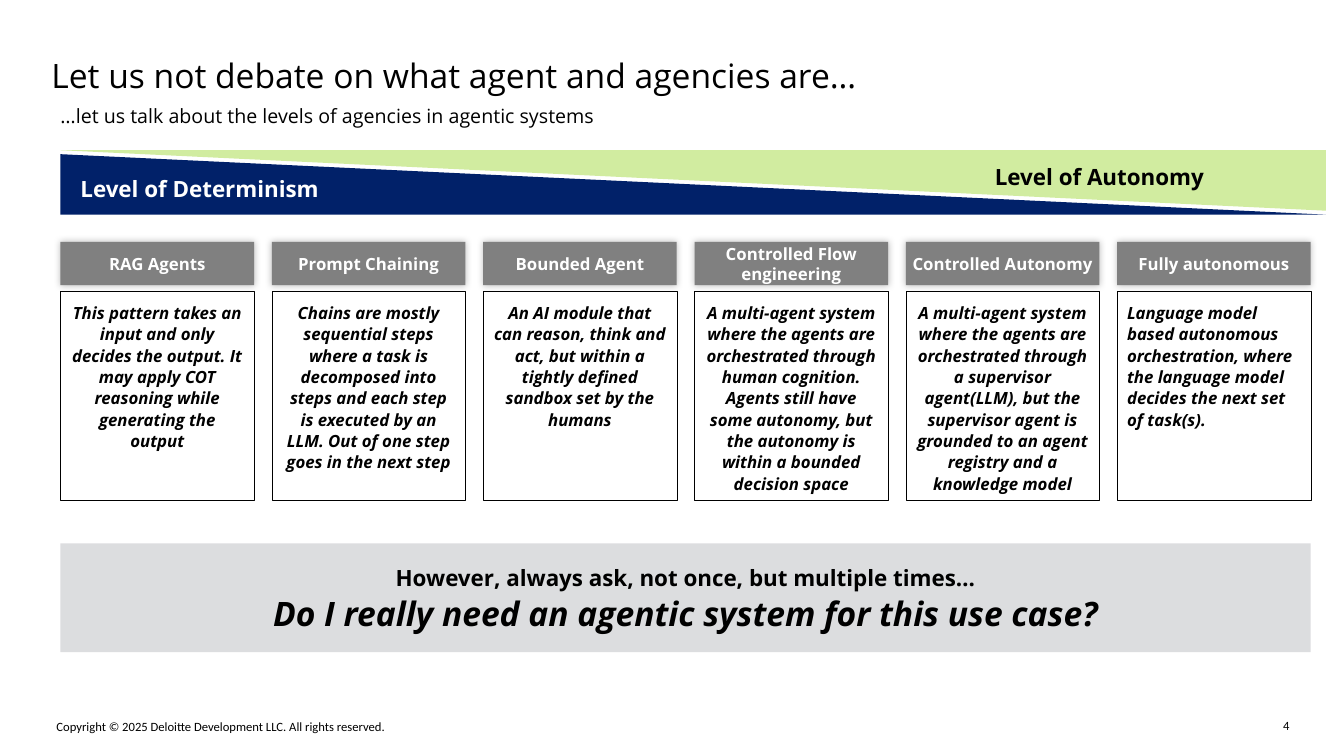
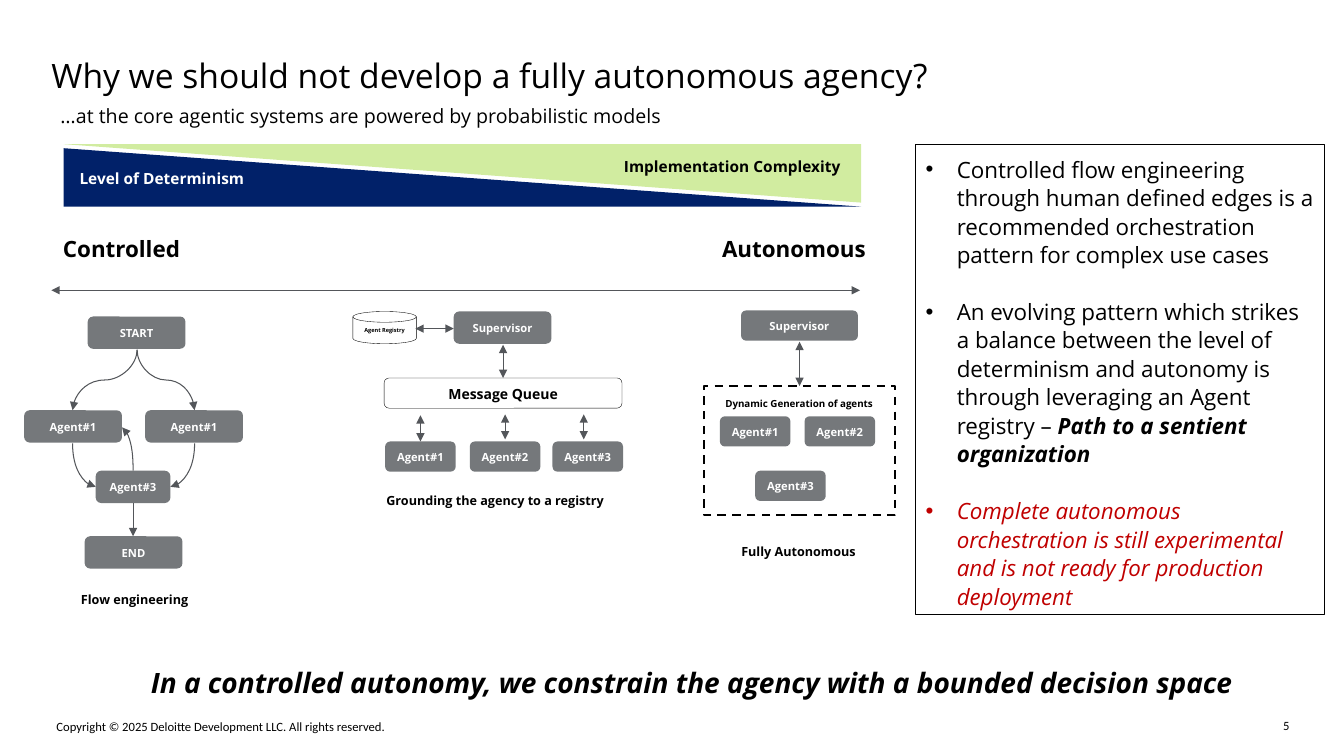
from lxml import etree
from pptx import Presentation
from pptx.dml.color import RGBColor
from pptx.enum.dml import MSO_LINE
from pptx.enum.shapes import MSO_CONNECTOR, MSO_SHAPE
from pptx.enum.text import MSO_ANCHOR, MSO_AUTO_SIZE, PP_ALIGN
from pptx.oxml.ns import qn
from pptx.util import Inches, Pt

RECT, ROUND = MSO_SHAPE.RECTANGLE, MSO_SHAPE.ROUNDED_RECTANGLE
TRIANGLE, DISK = MSO_SHAPE.RIGHT_TRIANGLE, MSO_SHAPE.FLOWCHART_MAGNETIC_DISK
STRAIGHT, CURVE = MSO_CONNECTOR.STRAIGHT, MSO_CONNECTOR.CURVE
LEFT, CENTER, RIGHT = PP_ALIGN.LEFT, PP_ALIGN.CENTER, PP_ALIGN.RIGHT
TOP, MIDDLE = MSO_ANCHOR.TOP, MSO_ANCHOR.MIDDLE

BLACK, WHITE, NAVY, GREEN = "000000", "FFFFFF", "012169", "D1ECA0"
HEADER_GRAY, NODE_GRAY, LINE_GRAY = "808080", "75787B", "53565A"
PALE_GRAY, RED = "DCDDDF", "C00000"
FONT, FOOTER_FONT = "Open Sans", "Calibri"
LOOSE = 1.06
NO_INSET = (0, 0, 0, 0)
INSET = (0.1, 0.1, 0.1, 0.1)
BOX_INSET = (0.1, 0.05, 0.1, 0.05)

COPYRIGHT = "Copyright © 2025 Deloitte Development LLC. All rights reserved."

PATTERNS = [
    ("RAG Agents", "This pattern takes an input and only decides the output. "
     "It may apply COT reasoning while generating the output", CENTER),
    ("Prompt Chaining", "Chains are mostly sequential steps where a task is decomposed into "
     "steps and each step is executed by an LLM. Out of one step goes in the next step", CENTER),
    ("Bounded Agent", "An AI module that can reason, think and act, but within a tightly "
     "defined sandbox set by the humans", CENTER),
    ("Controlled Flow engineering", "A multi-agent system where the agents are orchestrated "
     "through human cognition. Agents still have some autonomy, but the autonomy is within "
     "a bounded decision space", CENTER),
    ("Controlled Autonomy", "A multi-agent system where the agents are orchestrated through "
     "a supervisor agent(LLM), but the supervisor agent is grounded to an agent registry "
     "and a knowledge model", CENTER),
    ("Fully autonomous", "Language model based autonomous orchestration, where the language "
     "model decides the next set of task(s).", LEFT),
]
QUESTION = [
    [("However, always ask, not once, but multiple times…", {"size": 16, "bold": True})],
    [("Do I really need an agentic system for this use case?",
      {"size": 24, "bold": True, "italic": True})],
]

TAKEAWAYS = [
    [("Controlled flow engineering through human defined edges is a recommended "
      "orchestration pattern for complex use cases", {"size": 16})],
    [("An evolving pattern which strikes a balance between the level of determinism and "
      "autonomy is through leveraging an Agent registry – ", {"size": 16}),
     ("Path to a sentient organization", {"size": 16, "bold": True, "italic": True})],
    [("Complete autonomous orchestration is still experimental and is not ready for "
      "production deployment", {"size": 16, "italic": True, "color": RED})],
]
NODES = [
    ("START", 0.87, 3.14, 0.97, 0.32),
    ("Agent#1", 0.24, 4.07, 0.97, 0.32),
    ("Agent#1", 1.44, 4.07, 0.97, 0.32),
    ("Agent#3", 0.95, 4.67, 0.74, 0.32),
    ("END", 0.84, 5.32, 0.97, 0.32),
    ("Supervisor", 4.5, 3.09, 0.97, 0.32),
    ("Agent#1", 3.82, 4.38, 0.7, 0.3),
    ("Agent#2", 4.66, 4.38, 0.7, 0.3),
    ("Agent#3", 5.48, 4.38, 0.7, 0.3),
    ("Supervisor", 7.35, 3.08, 1.16, 0.3),
    ("Agent#1", 7.14, 4.13, 0.7, 0.3),
    ("Agent#2", 7.98, 4.13, 0.7, 0.3),
    ("Agent#3", 7.49, 4.67, 0.7, 0.3),
]
OUTLINED_NODES = [
    ("Message Queue", ROUND, (3.81, 3.75, 2.36, 0.3), 10),
    ("Agent Registry", DISK, (3.5, 3.09, 0.63, 0.32), 4),
]
LABELS = [
    ("Controlled", (0.51, 2.27, 1.39, 0.37), 16),
    ("Autonomous", (6.99, 2.27, 1.77, 0.37), 16),
    ("Flow engineering", (0.51, 5.78, 1.65, 0.32), 9),
    ("Grounding the agency to a registry", (3.73, 4.81, 2.36, 0.3), 9),
    ("Dynamic Generation of agents", (6.97, 3.9, 1.91, 0.21), 7),
    ("Fully Autonomous", (6.74, 5.32, 2.36, 0.3), 9),
]
TWO_WAY_ARROWS = [
    ((0.51, 2.88), (8.53, 2.88)),
    ((4.12, 3.26), (4.5, 3.26)),
    ((4.99, 3.42), (4.99, 3.75)),
    ((4.17, 4.12), (4.17, 4.38)),
    ((5.01, 4.11), (5.01, 4.36)),
    ((5.79, 4.11), (5.79, 4.36)),
    ((7.93, 3.39), (7.93, 3.83)),
]
CURVES = [
    ((1.36, 3.47), (0.72, 4.07), "curvedConnector3"),
    ((1.36, 3.47), (1.93, 4.07), "curvedConnector3"),
    ((0.72, 4.4), (0.95, 4.83), "curvedConnector2"),
    ((1.93, 4.4), (1.69, 4.83), "curvedConnector2"),
    ((1.32, 4.67), (1.21, 4.24), "curvedConnector2"),
]


def rgb(color):
    return RGBColor.from_string(color)


def inches(values):
    return [Inches(v) for v in values]


def write(shape, paragraphs, align=LEFT, anchor=TOP, inset=INSET, spacing=LOOSE, gap=0, wrap=True):
    tf = shape.text_frame
    tf.auto_size = MSO_AUTO_SIZE.NONE
    tf.word_wrap = wrap
    tf.vertical_anchor = anchor
    tf.margin_left, tf.margin_top, tf.margin_right, tf.margin_bottom = inches(inset)
    for i, runs in enumerate(paragraphs):
        p = tf.add_paragraph() if i else tf.paragraphs[0]
        p.alignment = align
        p.line_spacing = spacing
        p.space_before = Pt(gap if i else 0)
        for text, style in runs:
            r = p.add_run()
            r.text = text
            r.font.name = style.get("font", FONT)
            r.font.size = Pt(style["size"])
            r.font.bold = style.get("bold", False)
            r.font.italic = style.get("italic", False)
            r.font.color.rgb = rgb(style.get("color", BLACK))


def add_text(s, at, text, style, **layout):
    write(s.shapes.add_textbox(*inches(at)), [[(text, style)]], **layout)


def add_box(s, kind, at, fill=None, line=None, width=0.25):
    sp = s.shapes.add_shape(kind, *inches(at))
    sp.shadow.inherit = False
    if fill:
        sp.fill.solid()
        sp.fill.fore_color.rgb = rgb(fill)
    else:
        sp.fill.background()
    if line:
        sp.line.color.rgb = rgb(line)
        sp.line.width = Pt(width)
    else:
        sp.line.fill.background()
    return sp


def add_glow(sp):
    effects = sp.element.spPr.find(qn("a:effectLst"))
    shadow = etree.SubElement(effects, qn("a:outerShdw"), blurRad=str(Pt(5)), dist="0", dir="0")
    color = etree.SubElement(shadow, qn("a:srgbClr"), val=BLACK)
    etree.SubElement(color, qn("a:alpha"), val="25000")


def style_arrow(connector, two_way=False):
    connector.line.color.rgb = rgb(LINE_GRAY)
    connector.line.width = Pt(0.75)
    ln = connector.line._get_or_add_ln()
    for end in ("headEnd", "tailEnd") if two_way else ("tailEnd",):
        etree.SubElement(ln, qn("a:" + end), type="triangle")
    etree.SubElement(connector.element.spPr, qn("a:effectLst"))


def add_arrow(s, start, end, two_way=False):
    style_arrow(s.shapes.add_connector(STRAIGHT, *inches(start + end)), two_way)


def add_curve(s, start, end, preset):
    dx, dy = end[0] - start[0], end[1] - start[1]
    length, spread = abs(dy), abs(dx)
    left = (start[0] + end[0] - length) / 2
    top = (start[1] + end[1] - spread) / 2
    connector = s.shapes.add_connector(CURVE, *inches((left, top, left + length, top + spread)))
    spPr = connector.element.spPr
    spPr.find(qn("a:prstGeom")).set("prst", preset)
    xfrm = spPr.find(qn("a:xfrm"))
    xfrm.set("rot", str((90 if dx < 0 < dy else 270) * 60000))
    if dx > 0 and dy > 0:
        xfrm.set("flipH", "1")
    if dx < 0 and dy < 0:
        xfrm.set("flipV", "1")
    style_arrow(connector)


def add_wedges(s, left, top, width, height):
    add_box(s, TRIANGLE, (left, top + 0.04, width, height), NAVY)
    add_box(s, TRIANGLE, (left, top, width, height), GREEN).rotation = 180


def add_slide(prs, layout, number, title, subtitle):
    s = prs.slides.add_slide(prs.slide_layouts[layout])
    heading = s.shapes.title
    heading.left, heading.top, heading.width, heading.height = inches((0.51, 0.54, 12.37, 0.4))
    plain = {"anchor": MIDDLE, "inset": NO_INSET, "spacing": 1.0}
    footer = {"size": 9, "font": FOOTER_FONT}
    write(heading, [[(title, {"size": 24})]], **plain)
    add_text(s, (0.6, 1.02, 12, 0.25), subtitle, {"size": 14}, **plain)
    add_text(s, (0.56, 7.13, 5.86, 0.15), COPYRIGHT, footer, **plain)
    add_text(s, (12.64, 7.12, 0.15, 0.15), str(number), footer, align=RIGHT, wrap=False, **plain)
    return s


def build_levels(prs):
    s = add_slide(prs, 5, 4, "Let us not debate on what agent and agencies are…",
                  "…let us talk about the levels of agencies in agentic systems")
    left, total, width = 0.6, 12.4, 1.92
    add_wedges(s, left, 1.49, 12.55, 0.6)
    band = {"inset": BOX_INSET, "spacing": 1.0}
    add_text(s, (0.7, 1.69, 2.86, 0.37), "Level of Determinism",
             {"size": 16, "bold": True, "color": WHITE}, **band)
    add_text(s, (8.51, 1.57, 3.53, 0.37), "Level of Autonomy",
             {"size": 16, "bold": True}, align=RIGHT, **band)
    step = (total - width) / (len(PATTERNS) - 1)
    for i, (name, description, align) in enumerate(PATTERNS):
        x = left + i * step
        header = add_box(s, RECT, (x, 2.4, width, 0.43), HEADER_GRAY)
        add_glow(header)
        write(header, [[(name, {"size": 12, "bold": True, "color": WHITE})]],
              CENTER, MIDDLE, NO_INSET, 1.0)
        body = add_box(s, RECT, (x, 2.89, width, 2.07), line=BLACK)
        write(body, [[(description, {"size": 12, "bold": True, "italic": True})]], align)
    write(add_box(s, RECT, (left, 5.39, total, 1.08), PALE_GRAY), QUESTION, CENTER, MIDDLE)


def build_autonomy(prs):
    s = add_slide(prs, 1, 5, "Why we should not develop a fully autonomous agency?",
                  "…at the core agentic systems are powered by probabilistic models")
    add_wedges(s, 0.63, 1.43, 7.91, 0.58)
    band = {"inset": BOX_INSET, "spacing": 1.0}
    add_text(s, (0.69, 1.63, 1.98, 0.29), "Level of Determinism",
             {"size": 11, "bold": True, "color": WHITE}, **band)
    add_text(s, (6.09, 1.51, 2.44, 0.29), "Implementation Complexity",
             {"size": 11, "bold": True}, **band)

    for name, *at in NODES:
        write(add_box(s, ROUND, at, NODE_GRAY),
              [[(name, {"size": 8, "bold": True, "color": WHITE})]], CENTER, MIDDLE)
    for name, kind, at, size in OUTLINED_NODES:
        write(add_box(s, kind, at, line=BLACK), [[(name, {"size": size, "bold": True})]],
              CENTER, MIDDLE)
    frame = add_box(s, RECT, (6.98, 3.83, 1.9, 1.28), line=BLACK, width=1.5)
    frame.line.dash_style = MSO_LINE.DASH
    for text, at, size in LABELS:
        add_text(s, at, text, {"size": size, "bold": True}, align=CENTER, anchor=MIDDLE)

    for start, end in TWO_WAY_ARROWS:
        add_arrow(s, start, end, two_way=True)
    add_arrow(s, (1.32, 4.99), (1.32, 5.32))
    for start, end, preset in CURVES:
        add_curve(s, start, end, preset)

    panel = s.placeholders[1]
    panel.left, panel.top, panel.width, panel.height = inches((9.08, 1.43, 4.06, 4.67))
    panel.line.color.rgb = rgb(BLACK)
    panel.line.width = Pt(0.5)
    write(panel, TAKEAWAYS, gap=20.4)
    for p in panel.text_frame.paragraphs:
        pPr = p._p.get_or_add_pPr()
        pPr.set("marL", str(Inches(0.31)))
        pPr.set("indent", str(-Inches(0.31)))

    add_text(s, (0.6, 6.38, 12.53, 0.76),
             "In a controlled autonomy, we constrain the agency with a bounded decision space",
             {"size": 20, "bold": True, "italic": True}, align=CENTER, anchor=MIDDLE)


def main():
    prs = Presentation()
    prs.slide_width, prs.slide_height = Inches(13.33), Inches(7.5)
    build_levels(prs)
    build_autonomy(prs)
    prs.save("out.pptx")


if __name__ == "__main__":
    main()
